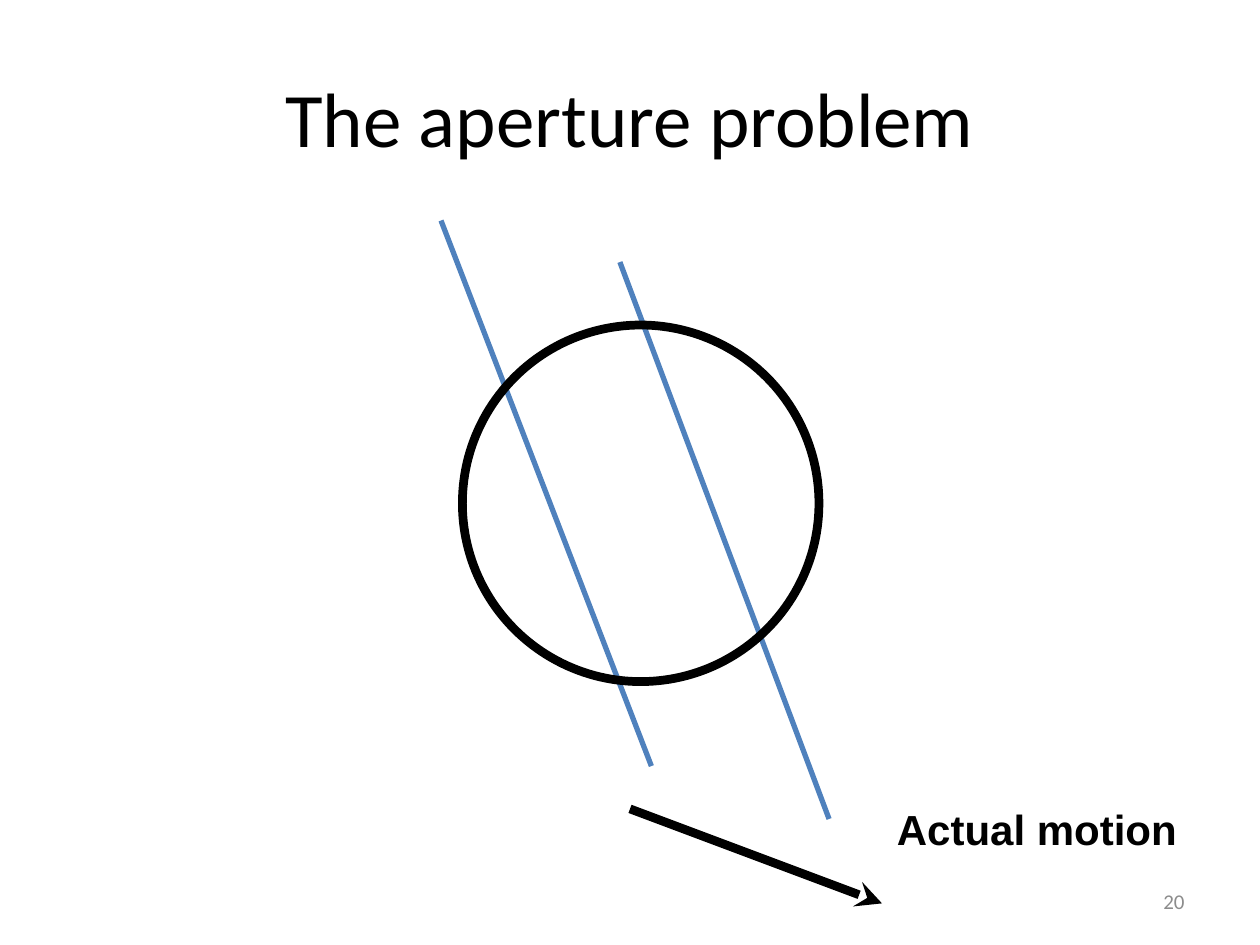
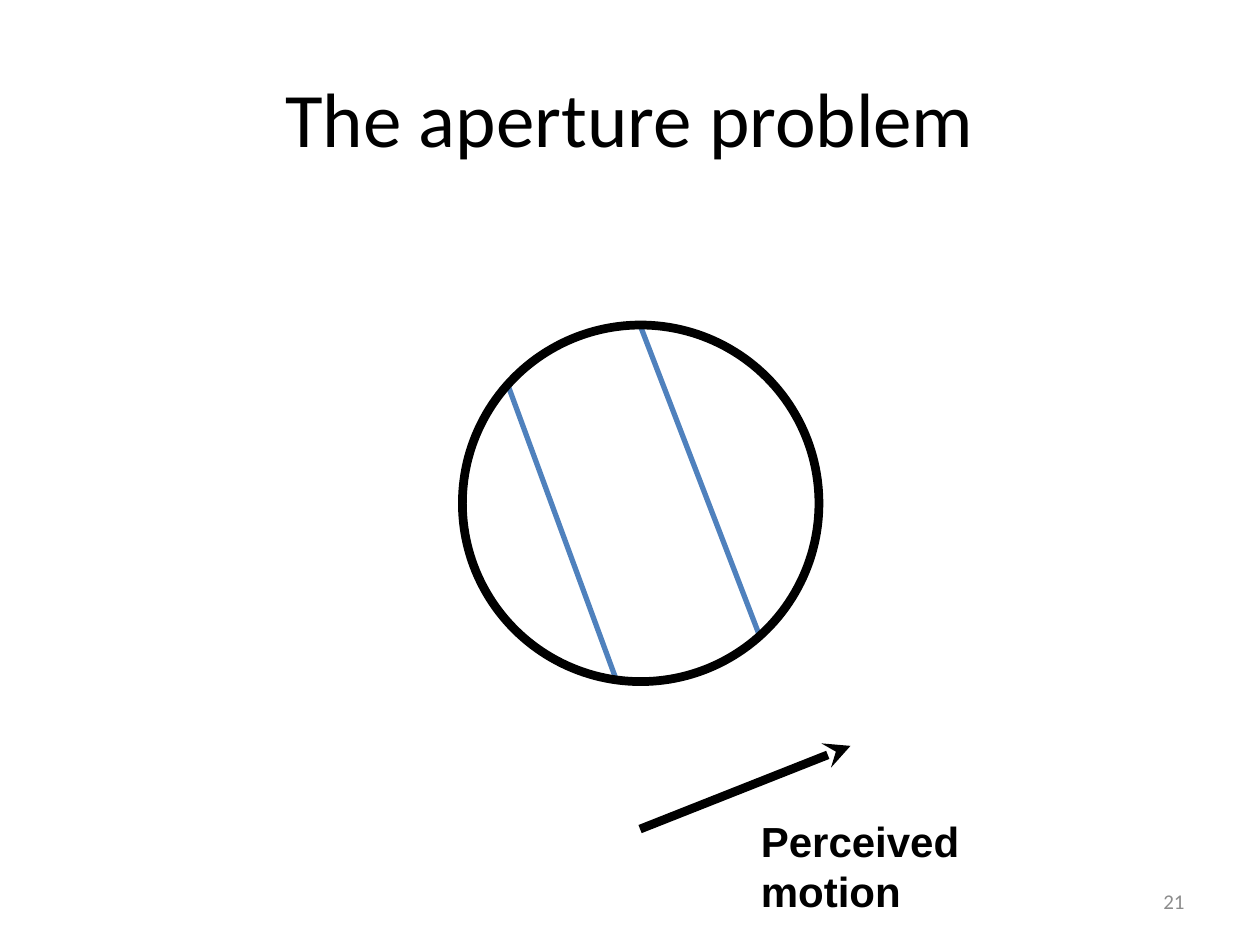
from pptx import Presentation
from pptx.dml.color import RGBColor
from pptx.enum.shapes import MSO_CONNECTOR, MSO_SHAPE
from pptx.enum.text import MSO_ANCHOR, MSO_AUTO_SIZE, PP_ALIGN
from pptx.oxml.ns import qn
from pptx.util import Inches, Pt
from lxml import etree

STRAIGHT = MSO_CONNECTOR.STRAIGHT
OVAL = MSO_SHAPE.OVAL
MIDDLE = MSO_ANCHOR.MIDDLE
TOP = MSO_ANCHOR.TOP
LEFT, CENTER, RIGHT = PP_ALIGN.LEFT, PP_ALIGN.CENTER, PP_ALIGN.RIGHT
GROW = MSO_AUTO_SIZE.SHAPE_TO_FIT_TEXT
FIXED = MSO_AUTO_SIZE.NONE

COLORS = {"ink": "000000", "edge": "4F81BD", "number": "8C8C8C"}
TITLE_ONLY = 5
FIRST_NUMBER = 20


class Deck:
    def __init__(self):
        self.prs = Presentation()
        self.prs.slide_width = Inches(10)
        self.prs.slide_height = Inches(7.5)
        self.slide = None

    def color(self, name):
        return RGBColor.from_string(COLORS[name])

    def start(self, title, number):
        self.slide = self.prs.slides.add_slide(self.prs.slide_layouts[TITLE_ONLY])
        heading = self.slide.shapes.title
        heading.left, heading.top = Inches(0.5), Inches(0.3)
        heading.width, heading.height = Inches(9), Inches(1.25)
        self.set_text(heading.text_frame, title, "Calibri", 44, "ink", CENTER, MIDDLE)
        self.text((7.17, 6.95, 2.33, 0.4), str(number), "Calibri", 12, "number",
                  align=RIGHT, anchor=MIDDLE)

    def set_text(self, frame, words, font, size, color, align, anchor, bold=False):
        frame.word_wrap = True
        frame.vertical_anchor = anchor
        frame.text = words
        paragraph = frame.paragraphs[0]
        paragraph.alignment = align
        paragraph.font.name = font
        paragraph.font.size = Pt(size)
        paragraph.font.bold = bold
        paragraph.font.color.rgb = self.color(color)

    def text(self, box, words, font, size, color, align=LEFT, anchor=TOP,
             bold=False, fit=FIXED):
        frame = self.slide.shapes.add_textbox(*map(Inches, box)).text_frame
        self.set_text(frame, words, font, size, color, align, anchor, bold)
        frame.auto_size = fit

    def line(self, start, end, color, width):
        connector = self.slide.shapes.add_connector(
            STRAIGHT, *map(Inches, start + end))
        connector.line.color.rgb = self.color(color)
        connector.line.width = Pt(width)
        etree.SubElement(connector._element.spPr, qn("a:effectLst"))
        return connector

    def arrow(self, start, end):
        motion = self.line(start, end, "ink", 5)
        outline = motion._element.spPr.find(qn("a:ln"))
        etree.SubElement(outline, qn("a:tailEnd"), type="stealth")

    def aperture(self):
        circle = self.slide.shapes.add_shape(
            OVAL, Inches(3.67), Inches(2.58), Inches(2.83), Inches(2.83))
        circle.shadow.inherit = False
        circle.fill.background()
        circle.line.color.rgb = self.color("ink")
        circle.line.width = Pt(5)

    def motion_slide(self, number, edges, motion, label, label_box):
        self.start("The aperture problem", number)
        for start, end in edges:
            self.line(start, end, "edge", 3)
        self.aperture()
        self.arrow(*motion)
        self.text(label_box, label, "Arial", 24, "ink", bold=True, fit=GROW)


def main():
    deck = Deck()
    views = [
        {
            "edges": [((3.5, 1.75), (5.17, 6.08)), ((4.92, 2.08), (6.58, 6.5))],
            "motion": ((5, 6.42), (7, 7.17)),
            "label": "Actual motion",
            "label_box": (7.02, 6.33, 2.5, 0.5),
        },
        {
            "edges": [((4.04, 3.08), (4.9, 5.42)), ((5.08, 2.58), (6.03, 5.05))],
            "motion": ((5.08, 6.58), (6.75, 5.92)),
            "label": "Perceived motion",
            "label_box": (5.94, 6.42, 2.82, 0.5),
        },
    ]
    for number, view in enumerate(views, FIRST_NUMBER):
        deck.motion_slide(number, **view)
    deck.prs.save("out.pptx")


if __name__ == "__main__":
    main()
